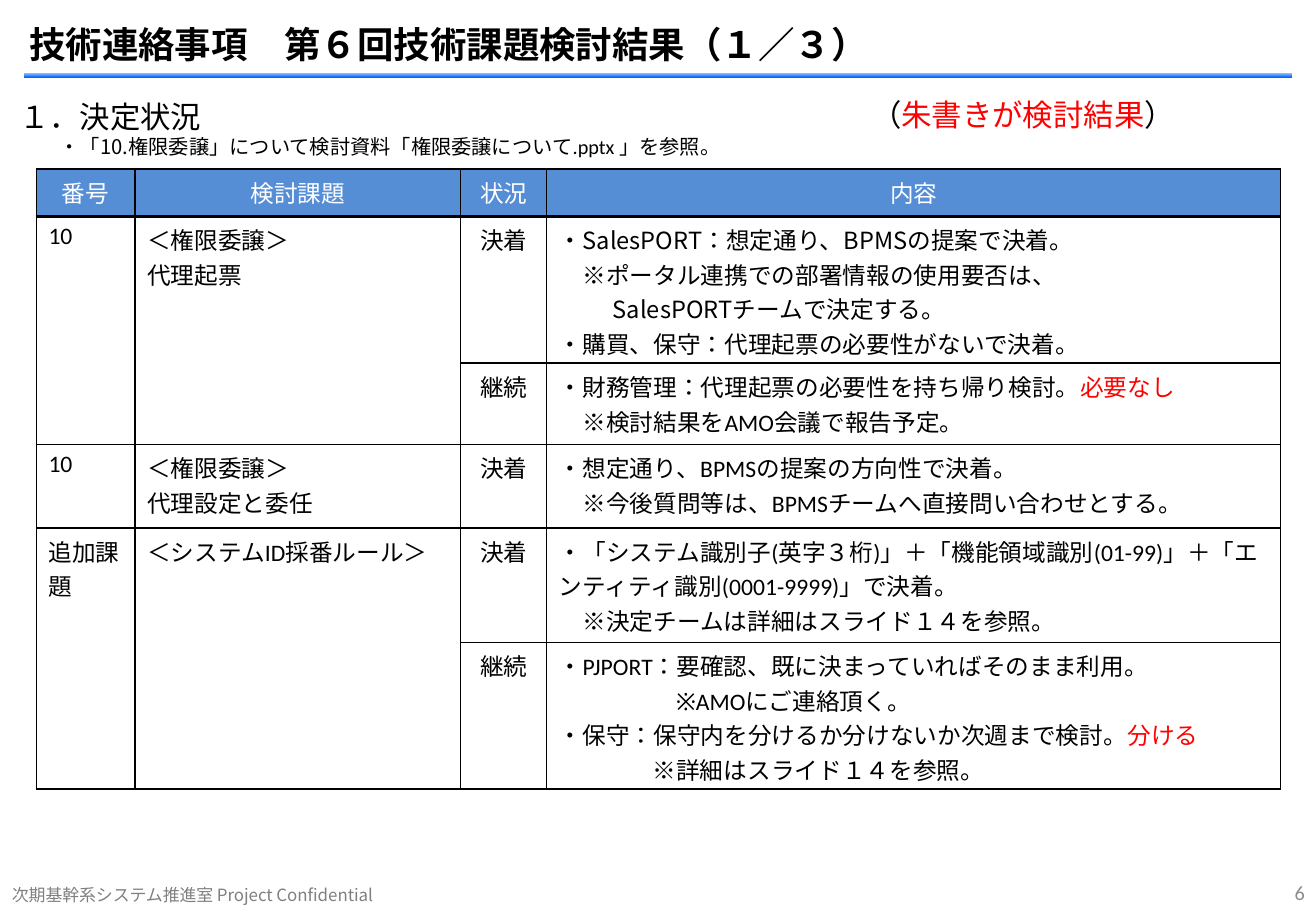
from dataclasses import dataclass

from lxml import etree
from pptx import Presentation
from pptx import util as u
from pptx.dml.color import RGBColor
from pptx.enum import lang, shapes, text
from pptx.oxml import ns


@dataclass(frozen=True)
class Theme:
    latin: str = "Calibri"
    japanese: str = "Noto Sans CJK JP"
    black: str = "000000"
    white: str = "FFFFFF"
    red: str = "FF0000"
    footer: str = "808080"
    page: str = "8C8C8C"
    header: str = "558ED5"
    rule_top: str = "A9CBFF"
    rule_bottom: str = "0066FF"
    title_size: float = 21.6
    heading_size: float = 18
    body_size: float = 14
    small_size: float = 12
    footer_size: float = 10


THEME = Theme()
LEFT, CENTER, RIGHT = text.PP_ALIGN.LEFT, text.PP_ALIGN.CENTER, text.PP_ALIGN.RIGHT
TOP, MIDDLE, BOTTOM = text.MSO_ANCHOR.TOP, text.MSO_ANCHOR.MIDDLE, text.MSO_ANCHOR.BOTTOM


@dataclass(frozen=True)
class Run:
    words: str
    color: str = THEME.black
    size: float = THEME.body_size
    font: str = THEME.latin
    bold: bool = False


@dataclass(frozen=True)
class Line:
    runs: tuple[Run, ...]
    indent: float = 0  # cm
    align: text.PP_ALIGN = LEFT
    spacing: float = 1.0


@dataclass(frozen=True)
class Box:
    left: float  # all lengths in cm
    top: float
    width: float
    height: float
    lines: tuple[Line, ...]
    anchor: text.MSO_ANCHOR = TOP
    margin: float | None = None
    grows: bool = False


@dataclass(frozen=True)
class Entry:
    row: int
    column: int
    lines: tuple[Line, ...]
    row_span: int = 1


def line(words: str, indent: float = 0, remark: str = "", font: str = THEME.latin) -> Line:
    runs = (Run(words, font=font),)
    if remark:
        runs += (Run(remark, THEME.red),)
    return Line(runs, indent)


def centered(words: str, color: str = THEME.black) -> tuple[Line, ...]:
    return (Line((Run(words, color),), align=CENTER),)


def write(frame, lines: tuple[Line, ...]) -> None:
    for index, item in enumerate(lines):
        paragraph = frame.add_paragraph() if index else frame.paragraphs[0]
        paragraph.alignment = item.align
        paragraph.line_spacing = item.spacing
        if item.indent:
            properties = paragraph._p.get_or_add_pPr()
            properties.set("marL", str(u.Cm(item.indent)))
            properties.set("indent", "0")
        for part in item.runs:
            run = paragraph.add_run()
            run.text = part.words
            font = run.font
            font.name, font.size, font.bold = part.font, u.Pt(part.size), part.bold
            font.color.rgb = RGBColor.from_string(part.color)
            font.language_id = lang.MSO_LANGUAGE_ID.JAPANESE
            east_asian = etree.Element(ns.qn("a:ea"), typeface=THEME.japanese)
            run._r.rPr.find(ns.qn("a:latin")).addnext(east_asian)


def add_box(slide, box: Box) -> None:
    shape = slide.shapes.add_textbox(*map(u.Cm, (box.left, box.top, box.width, box.height)))
    frame = shape.text_frame
    frame.word_wrap = True
    frame.vertical_anchor = box.anchor
    if box.grows:
        frame.auto_size = text.MSO_AUTO_SIZE.SHAPE_TO_FIT_TEXT
    if box.margin is not None:
        frame.margin_left = frame.margin_right = u.Cm(box.margin)
        frame.margin_top = frame.margin_bottom = u.Cm(box.margin)
    write(frame, box.lines)


def set_borders(cell, bottom_width: float) -> None:
    properties = cell._tc.get_or_add_tcPr()
    widths = {"lnL": 1, "lnR": 1, "lnT": 1, "lnB": bottom_width}
    for index, (side, width) in enumerate(widths.items()):
        border = etree.Element(ns.qn(f"a:{side}"), w=str(u.Pt(width)))
        fill = etree.SubElement(border, ns.qn("a:solidFill"))
        etree.SubElement(fill, ns.qn("a:srgbClr"), val=THEME.black)
        properties.insert(index, border)


def add_issue_table(slide, widths: list[float], heights: list[float], entries: list[Entry]) -> None:
    frame = slide.shapes.add_table(len(heights), len(widths), u.Cm(0.76), u.Cm(3.53),
                                   u.Cm(sum(widths)), u.Cm(sum(heights)))
    table = frame.table
    table.first_row = table.horz_banding = False
    for column, width in zip(table.columns, widths):
        column.width = u.Cm(width)
    for index, (row, height) in enumerate(zip(table.rows, heights)):
        row.height = u.Cm(height)
        for cell in row.cells:
            cell.fill.solid()
            cell.fill.fore_color.rgb = RGBColor.from_string(THEME.white if index else THEME.header)
            set_borders(cell, 1 if index else 2)
    for entry in entries:
        cell = table.cell(entry.row, entry.column)
        if entry.row_span > 1:
            cell.merge(table.cell(entry.row + entry.row_span - 1, entry.column))
        write(cell.text_frame, entry.lines)


presentation = Presentation()
presentation.slide_width, presentation.slide_height = u.Cm(27.51), u.Cm(19.05)
slide = presentation.slides.add_slide(presentation.slide_layouts[6])

# Rule under the title
rule = slide.shapes.add_shape(shapes.MSO_SHAPE.RECTANGLE, u.Cm(0.51), u.Cm(1.52), u.Cm(26.49), u.Cm(0.1))
rule.shadow.inherit = False
rule.line.fill.background()
rule.fill.gradient()
rule.fill.gradient_angle = 270
for stop, color in zip(rule.fill.gradient_stops, (THEME.rule_top, THEME.rule_bottom)):
    stop.color.rgb = RGBColor.from_string(color)

# Title, footer and page number
add_box(slide, Box(0.51, 0.33, 24.77, 1.19, (
    Line((Run("技術連絡事項　第６回技術課題検討結果（１／３）", size=THEME.title_size, bold=True),)),
), MIDDLE, margin=0.1))
add_box(slide, Box(0, 18.42, 9.19, 0.63, (
    Line((Run("次期基幹系システム推進室 Project Confidential", THEME.footer, THEME.footer_size,
              THEME.japanese),), spacing=0.9),
), BOTTOM))
add_box(slide, Box(21.11, 18.44, 6.42, 0.61, (
    Line((Run("6", THEME.page, THEME.small_size),), align=RIGHT),
), BOTTOM))

# Table of issues
STEP = 0.49  # one full-width character of body text
issues = [Entry(0, column, centered(words, THEME.white))
          for column, words in enumerate(("番号", "検討課題", "状況", "内容"))]
issues += [Entry(row, 2, centered(words))
           for row, words in enumerate(("決着", "継続", "決着", "決着", "継続"), 1)]
issues += [
    Entry(1, 0, (line("10"),), 2),
    Entry(1, 1, (line("＜権限委譲＞"), line("代理起票")), 2),
    Entry(3, 0, (line("10"),)),
    Entry(3, 1, (line("＜権限委譲＞"), line("代理設定と委任"))),
    Entry(4, 0, (line("追加課題"),), 2),
    Entry(4, 1, (line("＜システムID採番ルール＞"),), 2),
    Entry(1, 3, (
        line("・SalesPORT：想定通り、BPMSの提案で決着。", font=THEME.japanese),
        line("※ポータル連携での部署情報の使用要否は、", STEP, font=THEME.japanese),
        line("SalesPORTチームで決定する。", 2.3 * STEP, font=THEME.japanese),
        line("・購買、保守：代理起票の必要性がないで決着。", font=THEME.japanese))),
    Entry(2, 3, (
        line("・財務管理：代理起票の必要性を持ち帰り検討。", remark="必要なし"),
        line("※検討結果をAMO会議で報告予定。", STEP))),
    Entry(3, 3, (
        line("・想定通り、BPMSの提案の方向性で決着。"),
        line("※今後質問等は、BPMSチームへ直接問い合わせとする。", STEP))),
    Entry(4, 3, (
        line("・「システム識別子(英字３桁)」＋「機能領域識別(01-99)」＋「エンティティ識別(0001-9999)」で決着。"),
        line("※決定チームは詳細はスライド１４を参照。", STEP))),
    Entry(5, 3, (
        line("・PJPORT：要確認、既に決まっていればそのまま利用。"),
        line("※AMOにご連絡頂く。", 5 * STEP),
        line("・保守：保守内を分けるか分けないか次週まで検討。", remark="分ける"),
        line("※詳細はスライド１４を参照。", 4 * STEP))),
]
add_issue_table(slide, [2.06, 6.81, 1.8, 15.34], [0.99, 3.07, 1.7, 1.75, 2.39, 3.07], issues)

# Section heading and legend
add_box(slide, Box(0.15, 1.93, 26.59, 1.55, (
    Line((Run("１．決定状況", size=THEME.heading_size),)),
    Line((Run("・「", size=THEME.small_size),
          Run("10.権限委譲", size=THEME.small_size, font=THEME.japanese),
          Run("」について検討資料「権限委譲について.pptx 」を参照。", size=THEME.small_size)), indent=0.85),
), grows=True))
add_box(slide, Box(17.96, 1.88, 8.15, 1.02, (
    Line((Run("（", size=THEME.heading_size),
          Run("朱書きが検討結果", THEME.red, THEME.heading_size),
          Run("）", size=THEME.heading_size))),
), grows=True))

presentation.save("out.pptx")
